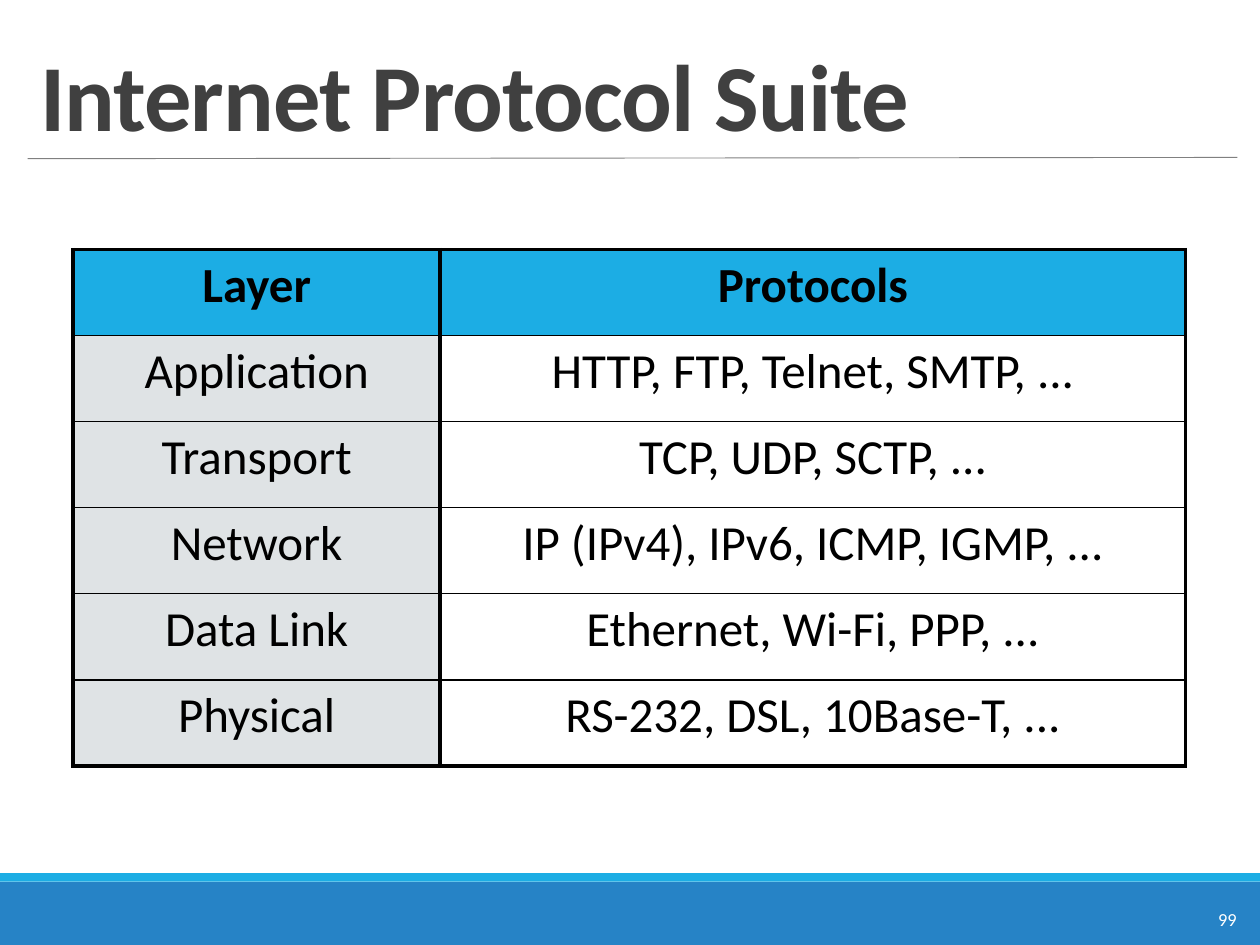
import pptx
import pptx.util
import pptx.dml.color
import pptx.enum.shapes
import pptx.enum.text
import pptx.oxml.ns
import lxml.etree

COLORS = {
    "title": "404040",
    "rule": "808080",
    "band": "2683C6",
    "accent": "1CADE4",
    "layer": "DFE3E5",
    "white": "FFFFFF",
    "black": "000000",
}
FONT = "Calibri"
ALIGN = pptx.enum.text.PP_ALIGN
ANCHOR = pptx.enum.text.MSO_ANCHOR
WIDTH, HEIGHT = pptx.util.Inches(10), pptx.util.Inches(7.5)
HEAVY, THIN = pptx.util.Pt(2.25), pptx.util.Pt(1)

ROWS = [
    ("Layer", "Protocols"),
    ("Application", "HTTP, FTP, Telnet, SMTP, ..."),
    ("Transport", "TCP, UDP, SCTP, ..."),
    ("Network", "IP (IPv4), IPv6, ICMP, IGMP, ..."),
    ("Data Link", "Ethernet, Wi-Fi, PPP, ..."),
    ("Physical", "RS-232, DSL, 10Base-T, ..."),
]
COLUMN_SHARES = (0.33, 0.67)


def color(name):
    return pptx.dml.color.RGBColor.from_string(COLORS[name])


def percent_box(x, y, w, h):
    return (int(WIDTH * x / 100), int(HEIGHT * y / 100),
            int(WIDTH * w / 100), int(HEIGHT * h / 100))


def part(box, x, y, w, h):
    left, top, width, height = box
    return (int(left + width * x), int(top + height * y),
            int(width * w), int(height * h))


def write(tf, text, size, fill, bold=False, align=ALIGN.LEFT,
          anchor=ANCHOR.TOP, wrap=True, line_spacing=None, tracking=None):
    tf.word_wrap = wrap
    tf.vertical_anchor = anchor
    p = tf.paragraphs[0]
    p.alignment = align
    if line_spacing:
        p.line_spacing = line_spacing
    r = p.add_run()
    r.text = text
    r.font.name = FONT
    r.font.size = pptx.util.Pt(size)
    r.font.bold = bold
    r.font.color.rgb = color(fill)
    if tracking:
        r.font._element.set("spc", str(int(tracking * 100)))


def add_band(s, box, fill):
    sp = s.shapes.add_shape(pptx.enum.shapes.MSO_SHAPE.RECTANGLE, *box)
    sp.shadow.inherit = False
    sp.fill.solid()
    sp.fill.fore_color.rgb = color(fill)
    sp.line.fill.background()


def add_footer(s, box, number):
    add_band(s, part(box, 0, 0.12, 1, 0.88), "band")
    add_band(s, part(box, 0, 0, 1, 0.12), "accent")
    tb = s.shapes.add_textbox(*part(box, 0.957, 0.4, 0.037, 0.49))
    write(tb.text_frame, number, 10.5, "white", wrap=False)


def add_title(s, box, text):
    left, top, width, height = box
    bottom = top + height
    rise = pptx.util.Inches(0.01)
    line = s.shapes.add_connector(pptx.enum.shapes.MSO_CONNECTOR.STRAIGHT,
                                  left, bottom + rise, left + width, bottom)
    line.line.color.rgb = color("rule")
    line.line.width = pptx.util.Pt(0.5)
    lxml.etree.SubElement(line._element.spPr, pptx.oxml.ns.qn("a:effectLst"))
    tb = s.shapes.add_textbox(*box)
    write(tb.text_frame, text, 54, "title", bold=True, anchor=ANCHOR.BOTTOM,
          line_spacing=0.85, tracking=-0.5)


def set_borders(cell, **widths):
    tc_pr = cell._tc.get_or_add_tcPr()
    for i, side in enumerate("LRTB"):
        ln = lxml.etree.Element(pptx.oxml.ns.qn("a:ln" + side), w=str(widths[side]))
        fill = lxml.etree.SubElement(ln, pptx.oxml.ns.qn("a:solidFill"))
        lxml.etree.SubElement(fill, pptx.oxml.ns.qn("a:srgbClr"), val=COLORS["black"])
        tc_pr.insert(i, ln)


def add_protocol_table(s, box, rows):
    table = s.shapes.add_table(len(rows), len(COLUMN_SHARES), *box).table
    table.horz_banding = False
    for column, share in zip(table.columns, COLUMN_SHARES):
        column.width = int(box[2] * share)
    last = len(rows) - 1
    for i, row in enumerate(rows):
        table.rows[i].height = box[3] // len(rows)
        for j, text in enumerate(row):
            cell = table.cell(i, j)
            cell.fill.solid()
            fill = "accent" if i == 0 else ("layer", "white")[j]
            cell.fill.fore_color.rgb = color(fill)
            write(cell.text_frame, text, 28, "black", bold=i == 0, align=ALIGN.CENTER)
            set_borders(cell, L=HEAVY, R=HEAVY,
                        T=HEAVY if i == 0 else THIN,
                        B=HEAVY if i == last else THIN)


def main():
    prs = pptx.Presentation()
    prs.slide_width, prs.slide_height = WIDTH, HEIGHT
    s = prs.slides.add_slide(prs.slide_layouts[6])
    add_footer(s, percent_box(0, 92.4, 100, 7.6), "99")
    add_title(s, percent_box(2.2, 3.33, 96, 13.33), "Internet Protocol Suite")
    add_protocol_table(s, percent_box(5.8, 26.4, 88.3, 54.67), ROWS)
    prs.save("out.pptx")


if __name__ == "__main__":
    main()
